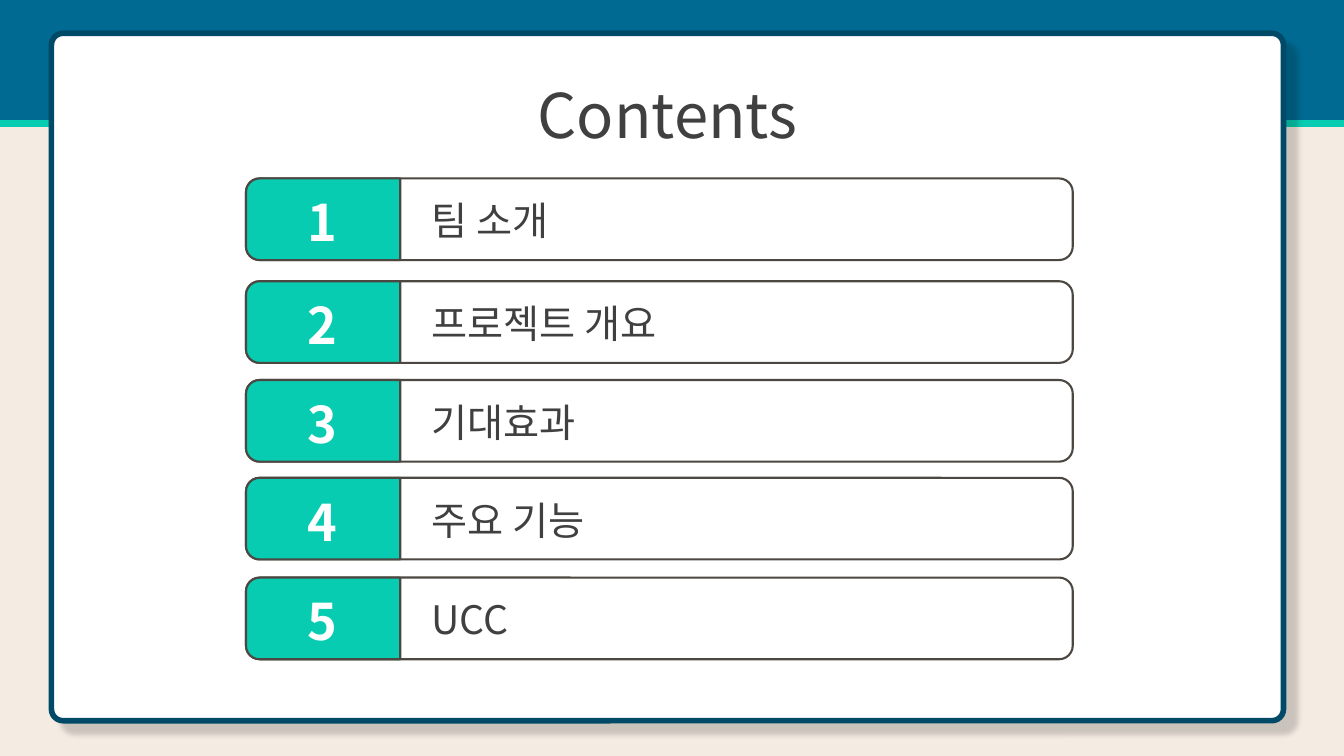
from lxml import etree
from pptx import Presentation
from pptx.dml.color import RGBColor
from pptx.enum.shapes import MSO_SHAPE as SHAPE
from pptx.enum.text import MSO_ANCHOR as ANCHOR, MSO_AUTO_SIZE as AUTO, PP_ALIGN as ALIGN
from pptx.oxml.ns import qn
from pptx.util import Inches, Pt

FONT = "Noto Sans CJK KR"
COLORS = {
    "background": "F4EBE2", "band": "006A92", "teal": "07CCB1",
    "panel_line": "004A68", "row_line": "4C4741", "text": "404040",
    "white": "FFFFFF", "black": "000000",
}
ROWS = [(1.77, "팀 소개"), (2.79, "프로젝트 개요"), (3.77, "기대효과"),
        (4.74, "주요 기능"), (5.73, "UCC")]
ROW_LEFT, ROW_WIDTH, ROW_HEIGHT, TAB_WIDTH = 2.44, 8.2, 0.81, 1.53


def rgb(name):
    return RGBColor.from_string(COLORS[name])


def add_box(shapes, kind, box, fill, line=None, width=1.5):
    sp = shapes.add_shape(kind, *map(Inches, box))
    sp.shadow.inherit = False
    sp.fill.solid()
    sp.fill.fore_color.rgb = rgb(fill)
    if line:
        sp.line.color.rgb = rgb(line)
        sp.line.width = Pt(width)
    else:
        sp.line.fill.background()
    return sp


def add_shadow(sp, color, opacity, blur, distance, angle):
    """Cast an outer shadow; opacity in percent, blur and distance in points."""
    effects = sp._element.spPr.find(qn("a:effectLst"))
    shadow = etree.SubElement(
        effects, qn("a:outerShdw"), blurRad=str(Pt(blur)), dist=str(Pt(distance)),
        dir=str(angle * 60000), algn="tl", rotWithShape="0")
    clr = etree.SubElement(shadow, qn("a:srgbClr"), val=COLORS[color])
    etree.SubElement(clr, qn("a:alpha"), val=str(opacity * 1000))


def write(tf, text, size, color, align=ALIGN.LEFT, bold=False):
    """Fill the frame with one paragraph, in FONT for Latin and Korean alike."""
    p = tf.paragraphs[0]
    p.text = text
    p.alignment = align
    font = p.font
    font.size, font.bold, font.name = Pt(size), bold, FONT
    font.color.rgb = rgb(color)
    latin = p._p.pPr.find(qn("a:defRPr")).find(qn("a:latin"))
    latin.addnext(latin.makeelement(qn("a:ea"), {"typeface": FONT}))


def add_text(shapes, box, text, size, color, wrap=True, **style):
    tf = shapes.add_textbox(*map(Inches, box)).text_frame
    tf.word_wrap = wrap
    tf.auto_size = AUTO.SHAPE_TO_FIT_TEXT
    write(tf, text, size, color, **style)


def add_row(s, number, top, label):
    group = s.shapes.add_group_shape().shapes
    add_box(group, SHAPE.ROUNDED_RECTANGLE,
            (ROW_LEFT, top, ROW_WIDTH, ROW_HEIGHT), "white", "row_line")
    shift = (TAB_WIDTH - ROW_HEIGHT) / 2
    tab = add_box(group, SHAPE.ROUND_2_SAME_RECTANGLE,
                  (ROW_LEFT + shift, top - shift, ROW_HEIGHT, TAB_WIDTH),
                  "teal", "row_line")
    tab.rotation = 270
    add_text(group, (2.94, top + 0.08, 0.52, 0.71), str(number), 36, "white",
             wrap=False, align=ALIGN.CENTER, bold=True)
    add_text(s.shapes, (4.18, top + 0.13, 3.75, 0.57), label, 28, "text")


def add_title(s, text):
    title = s.shapes.title
    s.shapes._spTree.append(title._element)  # bring in front of the panel
    title.left, title.top, title.width, title.height = map(
        Inches, (0.51, 0.63, 12.22, 1))
    tf = title.text_frame
    tf.auto_size = AUTO.NONE
    tf.vertical_anchor = ANCHOR.MIDDLE
    write(tf, text, 44, "text", align=ALIGN.CENTER)


def main():
    prs = Presentation()
    prs.slide_width, prs.slide_height = Inches(13.33), Inches(7.5)
    s = prs.slides.add_slide(prs.slide_layouts[5])
    s.background.fill.solid()
    s.background.fill.fore_color.rgb = rgb("background")

    band = add_box(s.shapes, SHAPE.RECTANGLE, (0, 0, 13.33, 1.19), "band")
    add_shadow(band, "teal", 100, 0, 5, 90)
    panel = add_box(s.shapes, SHAPE.ROUNDED_RECTANGLE, (0.51, 0.33, 12.22, 6.82),
                    "white", "panel_line", 4)
    panel.adjustments[0] = 0.017
    add_shadow(panel, "black", 17, 4, 12, 45)

    add_title(s, "Contents")
    for number, (top, label) in enumerate(ROWS, 1):
        add_row(s, number, top, label)
    prs.save("out.pptx")


if __name__ == "__main__":
    main()
